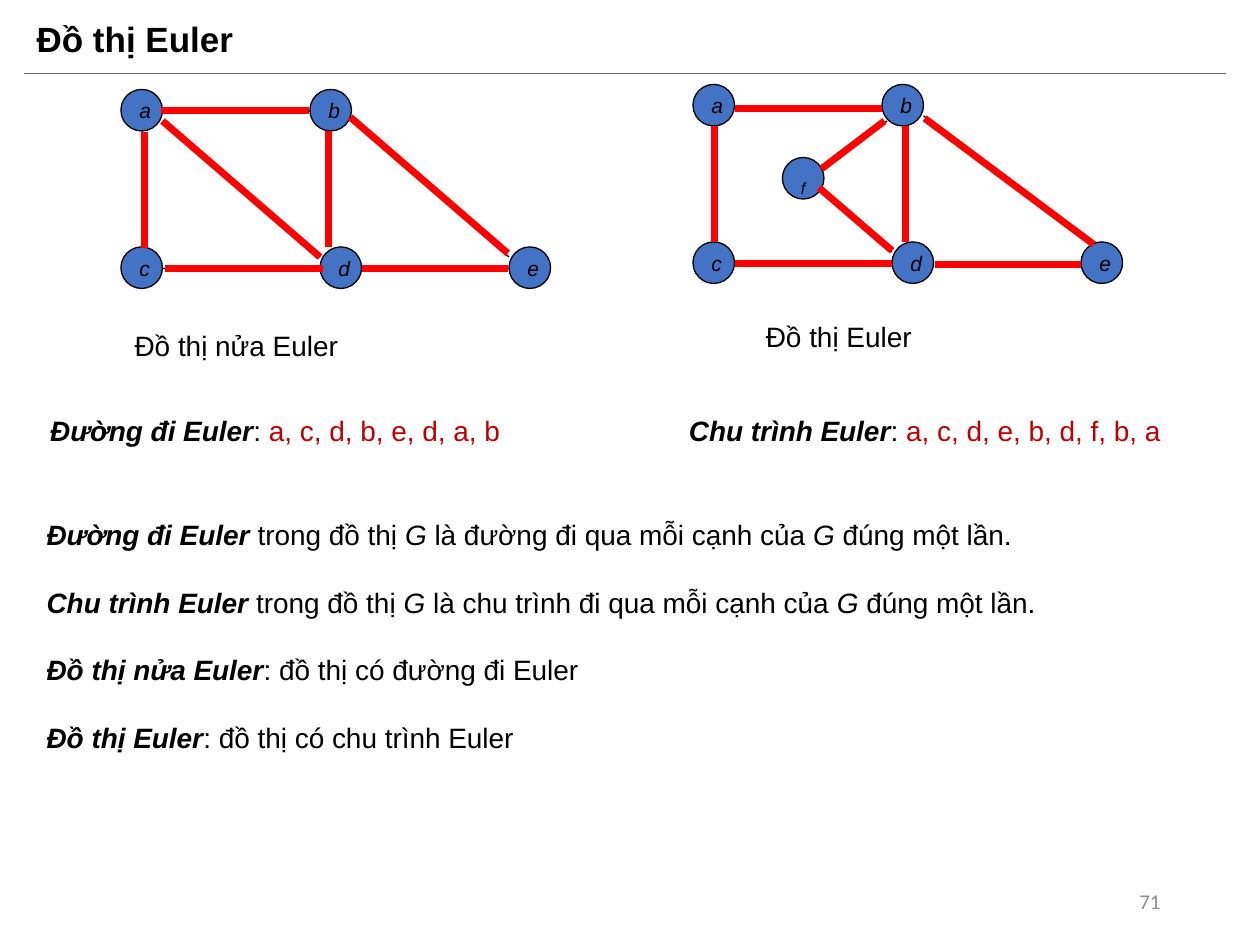
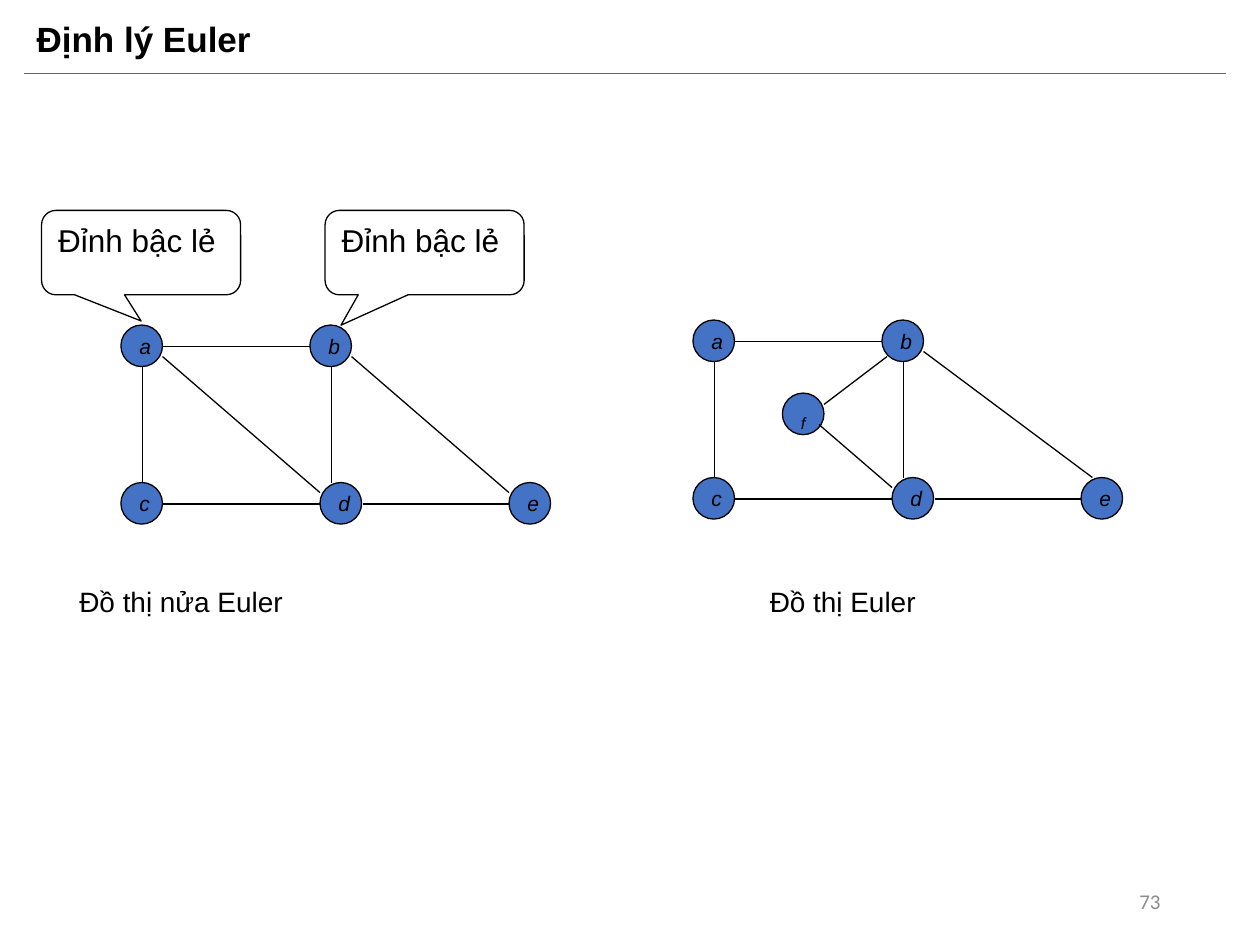
"""Build two slides on Euler graphs and the degrees of their vertices."""
from lxml.etree import SubElement
from pptx import Presentation
from pptx.dml.color import RGBColor
from pptx.enum.shapes import MSO_CONNECTOR as CONN, MSO_SHAPE as SHAPE
from pptx.enum.text import MSO_ANCHOR as ANCHOR, MSO_AUTO_SIZE as AUTO, PP_ALIGN as ALIGN
from pptx.oxml.ns import qn
from pptx.util import Inches, Pt

BLACK, WHITE, BLUE, RED = "000000", "FFFFFF", "4472C4", "FF0000"
DARK_RED, GREY, RULE = "C00000", "8C8C8C", "666666"
NODE = 0.33
ONE_BODY, TWO_BODIES = 1, 3
SEMI, EULER = "Đồ thị nửa Euler", "Đồ thị Euler"

CORNERS = {"a": (0, 0), "b": (1.5, 0), "c": (0, 1.25), "d": (1.58, 1.25), "e": (3.08, 1.25)}
COMMON_EDGES = {
    "ab": (0.33, 0.17, 1.5, 0.17),
    "ac": (0.17, 0.33, 0.17, 1.25),
    "cd": (0.33, 1.42, 1.58, 1.42),
    "bd": (1.67, 0.33, 1.67, 1.25),
    "de": (1.92, 1.42, 3.08, 1.42),
}
SEMI_GRAPH = {
    "left": 0.96,
    "nodes": CORNERS,
    "edges": COMMON_EDGES | {"ad": (0.33, 0.25, 1.58, 1.33), "be": (1.83, 0.25, 3.08, 1.33)},
    "trace": {"ac": (0.02, 0.01), "cd": (0.02, 0), "bd": (-0.02, 0), "be": (-0.01, -0.03),
              "de": (-0.01, 0), "ad": (0, 0), "ab": (-0.01, 0)},
}
EULER_GRAPH = {
    "left": 5.5,
    "nodes": CORNERS | {"f": (0.71, 0.58)},
    "edges": COMMON_EDGES | {"fd": (1, 0.83, 1.58, 1.33), "bf": (1.54, 0.29, 1.04, 0.67),
                             "be": (1.83, 0.25, 3.17, 1.25)},
    "trace": {"ac": (0, 0), "cd": (0, 0), "de": (0, 0.01), "be": (0.01, 0.02),
              "bd": (0.02, 0), "fd": (0, -0.01), "bf": (-0.02, 0), "ab": (0, 0.02)},
}
TRACED_CAPTIONS = [(0.97, 2.56, SEMI), (5.98, 2.49, EULER)]
THEOREM_CAPTIONS = [(0.53, SEMI), (6.01, EULER)]
ROUTES = [
    (0.3, "Đường đi Euler", "a, c, d, b, e, d, a, b"),
    (5.37, "Chu trình Euler", "a, c, d, e, b, d, f, b, a"),
]
DEFINITIONS = [
    [("Đường đi Euler ", "bi"), ("trong đồ thị ", ""), ("G ", "i"),
     ("là đường đi qua mỗi cạnh của ", ""), ("G ", "i"), ("đúng một lần.", "")],
    [("Chu trình Euler ", "bi"), ("trong đồ thị ", ""), ("G ", "i"),
     ("là chu trình đi qua mỗi cạnh của ", ""), ("G ", "i"), ("đúng một lần.", "")],
    [(SEMI, "bi"), (": đồ thị có đường đi Euler", "")],
    [(EULER, "bi"), (": đồ thị có chu trình Euler", "")],
]
CALLOUT_TEXT = "Đỉnh bậc lẻ"
CALLOUTS = [(0.33, (0, 0.81, 0.17)), (2.58, (-0.42, 0.86, 0.17))]


def rgb(value):
    return RGBColor.from_string(value)


def write(tf, paras, size=16, font="Arial", color=BLACK, style="", align=ALIGN.LEFT,
          anchor=ANCHOR.TOP, wrap=True, spacing=1.0, after=0):
    """Fill a text frame; style letters: b bold, i italic, r red, s subscript."""
    tf.word_wrap, tf.auto_size, tf.vertical_anchor = wrap, AUTO.NONE, anchor
    for i, runs in enumerate([[(paras, style)]] if isinstance(paras, str) else paras):
        p = tf.add_paragraph() if i else tf.paragraphs[0]
        p.alignment, p.line_spacing = align, spacing
        p.space_before, p.space_after = Pt(0), Pt(after)
        for text, marks in runs:
            r = p.add_run()
            r.text = text
            f = r.font
            f.name, f.size, f.bold, f.italic = font, Pt(size), "b" in marks, "i" in marks
            f.color.rgb = rgb(DARK_RED if "r" in marks else color)
            if "s" in marks:
                r._r.get_or_add_rPr().set("baseline", "-25000")


def place(shape, *box):
    shape.left, shape.top, shape.width, shape.height = map(Inches, box)
    return shape.text_frame


def body(s, idx, box, paras, **fmt):
    tf = place(s.placeholders[idx], *box)
    write(tf, paras, **fmt)
    for p in tf.paragraphs:
        pPr = p._p.get_or_add_pPr()
        pPr.set("marL", "0")
        pPr.set("indent", "0")
        SubElement(pPr, qn("a:buNone"))


def textbox(s, box, paras, **fmt):
    write(s.shapes.add_textbox(*map(Inches, box)).text_frame, paras, **fmt)


def line(s, ends, color=BLACK, width=0.75):
    c = s.shapes.add_connector(CONN.STRAIGHT, *map(Inches, ends))
    c.line.color.rgb, c.line.width = rgb(color), Pt(width)
    SubElement(c._element.spPr, qn("a:effectLst"))


def outlined(s, kind, box, fill, text, **fmt):
    sp = s.shapes.add_shape(kind, *map(Inches, box))
    sp.shadow.inherit = False
    sp.fill.solid()
    sp.fill.fore_color.rgb = rgb(fill)
    sp.line.color.rgb, sp.line.width = rgb(BLACK), Pt(0.75)
    write(sp.text_frame, text, **fmt)
    return sp


def graph(s, data, top, traced=False):
    left = data["left"]
    for name, (x, y) in data["nodes"].items():
        size, style = (16, "is") if name == "f" else (12, "i")
        outlined(s, SHAPE.OVAL, (left + x, top + y, NODE, NODE), BLUE, name,
                 size=size, style=style, anchor=ANCHOR.MIDDLE, wrap=False)

    def edge(name, dx=0, dy=0, **fmt):
        x1, y1, x2, y2 = data["edges"][name]
        x, y = left + dx, top + dy
        line(s, (x + x1, y + y1, x + x2, y + y2), **fmt)

    for name in data["edges"]:
        edge(name)
    if traced:
        for name, shift in data["trace"].items():
            edge(name, *shift, color=RED, width=4)


def new_slide(prs, layout, title, number):
    s = prs.slides.add_slide(prs.slide_layouts[layout])
    write(place(s.shapes.title, 0.19, 0.08, 8.62, 0.5), title, size=20, style="b",
          anchor=ANCHOR.MIDDLE, spacing=0.9)
    line(s, (0.19, 0.58, 9.73, 0.58), RULE, 0.5)
    textbox(s, (7.06, 6.95, 2.25, 0.4), number, size=12, font="Calibri", color=GREY,
            align=ALIGN.RIGHT, anchor=ANCHOR.MIDDLE)
    return s


def euler_graphs(prs):
    s = new_slide(prs, ONE_BODY, "Đồ thị Euler", "71")
    graph(s, SEMI_GRAPH, 0.71, traced=True)
    graph(s, EULER_GRAPH, 0.67, traced=True)
    for left, top, caption in TRACED_CAPTIONS:
        textbox(s, (left, top, 2.51, 0.37), caption)
    for left, name, route in ROUTES:
        textbox(s, (left, 3.23, 4.34, 0.37), [[(name, "bi"), (": ", ""), (route, "r")]])
    body(s, 1, (0.27, 4.06, 9.04, 1.99), DEFINITIONS, align=ALIGN.JUSTIFY, after=19.4)


def euler_theorem(prs):
    s = new_slide(prs, TWO_BODIES, "Định lý Euler", "73")
    for idx, (left, caption) in enumerate(THEOREM_CAPTIONS, start=1):
        body(s, idx, (left, 4.62, 3.71, 0.96), caption, spacing=0.9)
    graph(s, SEMI_GRAPH, 2.58)
    graph(s, EULER_GRAPH, 2.54)
    for left, tail in CALLOUTS:
        sp = outlined(s, SHAPE.ROUNDED_RECTANGULAR_CALLOUT, (left, 1.67, 1.58, 0.67),
                      WHITE, CALLOUT_TEXT, size=18)
        for i, value in enumerate(tail):
            sp.adjustments[i] = value


def main():
    prs = Presentation()
    prs.slide_width, prs.slide_height = Inches(10), Inches(7.5)
    euler_graphs(prs)
    euler_theorem(prs)
    prs.save("out.pptx")


if __name__ == "__main__":
    main()
